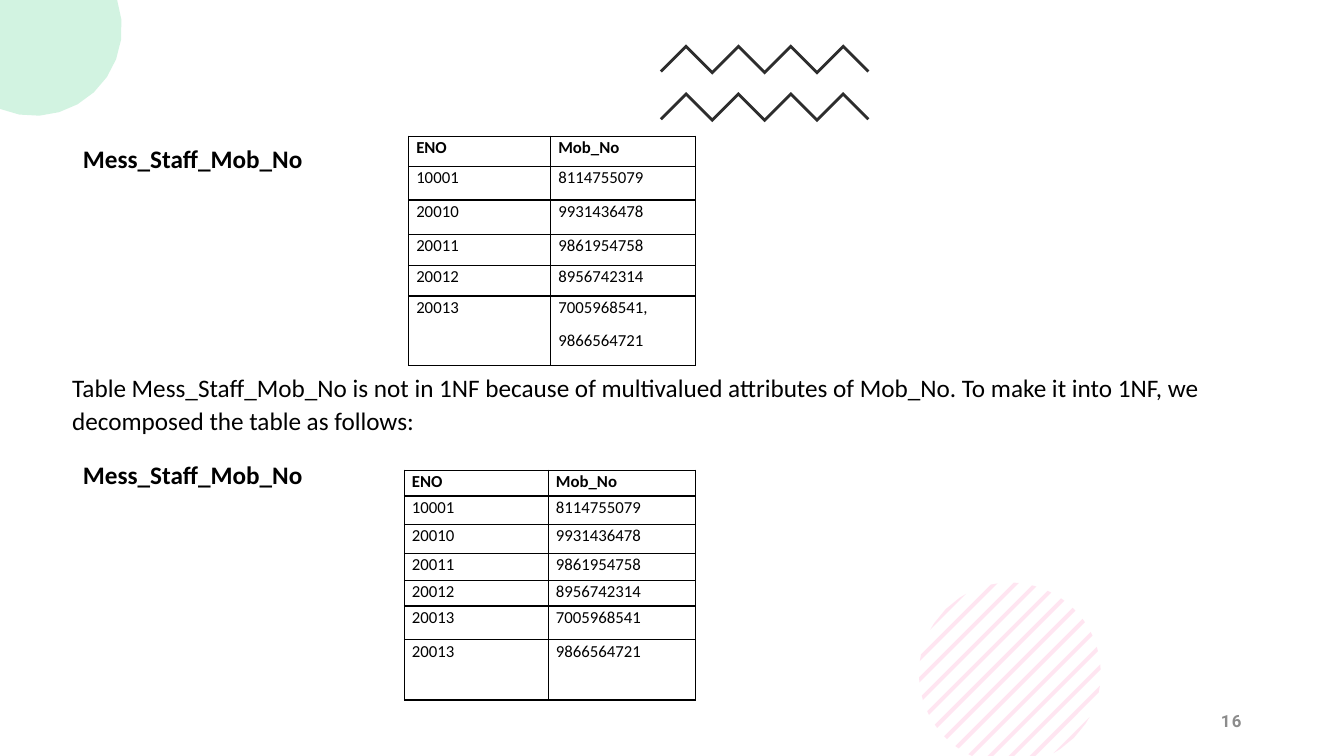
from dataclasses import dataclass
from math import acos, asin, cos, sin, sqrt

from lxml.etree import SubElement
from pptx import Presentation
from pptx.dml.color import RGBColor
from pptx.enum.text import MSO_ANCHOR, PP_ALIGN
from pptx.oxml.ns import qn
from pptx.slide import Slide
from pptx.util import Cm, Pt

BLACK = RGBColor(0x00, 0x00, 0x00)
GRAY = RGBColor(0x8C, 0x8C, 0x8C)
INK = RGBColor(0x2D, 0x2D, 0x2D)
PINK = RGBColor(0xFF, 0x80, 0xBD)
MINT = RGBColor(0x21, 0xC4, 0x6B)

WIDTH, HEIGHT = 33.87, 19.05
STAFF = "Mess_Staff_Mob_No"
REASON = (
    "Table Mess_Staff_Mob_No is not in 1NF because of multivalued attributes "
    "of Mob_No. To make it into 1NF, we decomposed the table as follows:"
)
FLOW = {"line_spacing": 1.07, "space_after": Pt(8)}
PLAIN = {"name": "Calibri", "size": Pt(18), "bold": False}
BOLD = PLAIN | {"bold": True}
CELL = PLAIN | {"size": Pt(12)}
PAGE = {"name": "Roboto", "size": Pt(12), "bold": True}

Point = tuple[float, float]


@dataclass
class Label:
    text: str
    box: tuple[float, float, float, float]
    font: dict
    flow: dict
    color: RGBColor = BLACK
    anchor: MSO_ANCHOR = MSO_ANCHOR.TOP
    track: int = 0


@dataclass
class Grid:
    left: float
    top: float
    cols: list[float]
    rows: list[float]
    data: list[tuple[str, str]]


HEAD = ("ENO", "Mob_No")
STABLE = [
    ("10001", "8114755079"),
    ("20010", "9931436478"),
    ("20011", "9861954758"),
    ("20012", "8956742314"),
]
LABELS = [
    Label("16", (23.92, 17.65, 7.62, 1.02), PAGE,
          {"alignment": PP_ALIGN.RIGHT}, GRAY, MSO_ANCHOR.MIDDLE, 100),
    Label(STAFF, (1.84, 3.43, 16.92, 1.04), BOLD, FLOW),
    Label(REASON, (1.57, 9.21, 30.73, 1.85), PLAIN, FLOW),
    Label(STAFF, (1.84, 11.4, 16.92, 1.04), BOLD, FLOW),
]
GRIDS = [
    Grid(10.3, 3.43, [3.58, 3.65], [0.76, 0.85, 0.86, 0.78, 0.78, 1.74],
         [HEAD, *STABLE, ("20013", "7005968541,\n9866564721")]),
    Grid(10.19, 11.85, [3.63, 3.71], [0.65, 0.71, 0.73, 0.68, 0.65, 0.85, 1.52],
         [HEAD, *STABLE, ("20013", "7005968541"), ("20013", "9866564721")]),
]


def apply(target: object, values: dict) -> None:
    for name, value in values.items():
        setattr(target, name, value)


def write(frame, text: str, font: dict, flow: dict, color: RGBColor) -> None:
    frame.text = text
    for para in frame.paragraphs:
        apply(para, flow)
        for run in para.runs:
            apply(run.font, font)
            run.font.color.rgb = color


def draw_label(slide: Slide, label: Label) -> None:
    frame = slide.shapes.add_textbox(*map(Cm, label.box)).text_frame
    apply(frame, {"word_wrap": True, "vertical_anchor": label.anchor})
    write(frame, label.text, label.font, label.flow, label.color)
    if label.track:
        run = frame.paragraphs[0].runs[0]
        run.font._element.set("spc", str(label.track))


def frame_cell(cell) -> None:
    props = cell._tc.get_or_add_tcPr()
    for side in ("a:lnL", "a:lnR", "a:lnT", "a:lnB"):
        edge = SubElement(props, qn(side), w=str(Pt(1)))
        fill = SubElement(edge, qn("a:solidFill"))
        SubElement(fill, qn("a:srgbClr"), val=str(BLACK))
    cell.fill.background()


def draw_grid(slide: Slide, grid: Grid) -> None:
    table = slide.shapes.add_table(
        len(grid.rows), len(grid.cols), Cm(grid.left), Cm(grid.top),
        Cm(sum(grid.cols)), Cm(sum(grid.rows))).table
    apply(table, {"first_row": False, "horz_banding": False})
    for col, width in zip(table.columns, grid.cols):
        col.width = Cm(width)
    for i, (height, line) in enumerate(zip(grid.rows, grid.data)):
        table.rows[i].height = Cm(height)
        for j, text in enumerate(line):
            cell = table.cell(i, j)
            apply(cell, {"margin_left": Cm(0.19), "margin_right": Cm(0.19),
                         "margin_top": 0, "margin_bottom": 0})
            write(cell.text_frame, text, CELL | {"bold": i == 0}, FLOW, BLACK)
            frame_cell(cell)


def draw_shape(slide: Slide, points: list[Point], color: RGBColor,
               alpha: int = 100) -> None:
    spots = [(Cm(x), Cm(y)) for x, y in points]
    form = slide.shapes.build_freeform(*spots[0], scale=1.0)
    form.add_line_segments(spots[1:], close=True)
    shape = form.convert_to_shape()
    shape.shadow.inherit = False
    shape.fill.solid()
    shape.fill.fore_color.rgb = color
    shape.line.fill.background()
    if alpha < 100:
        tint = shape._element.spPr.find(qn("a:solidFill"))[0]
        SubElement(tint, qn("a:alpha"), val=str(alpha * 1000))


def draw_stripes(slide: Slide) -> None:
    mid_x, mid_y, radius = 25.45, 16.97, 2.29
    pitch, half, last = 0.53, 0.07, 6
    reach = radius * sqrt(2)
    for k in range(-last, last + 1):
        low = max(k * pitch - half, -reach)
        high = min(k * pitch + half, reach)
        shifts = [low, high]
        if abs(k) == last:
            shifts.insert(1, (low + high) / 2)
        upper, lower = [], []
        for shift in shifts:
            span = sqrt(max(0, radius ** 2 - shift ** 2 / 2) / 2)
            base = min(mid_y + shift / 2 + span, HEIGHT)
            upper.append((mid_x + shift / 2 + span, mid_y + shift / 2 - span))
            lower.append((mid_x + mid_y + shift - base, base))
        draw_shape(slide, upper + lower[::-1], PINK, 20)


def draw_zigzag(slide: Slide, top: float) -> None:
    left, step, thick, count = 16.63, 0.66, 0.1, 9
    upper = [(left + i * step, top + step * (1 - i % 2)) for i in range(count)]
    lower = [(x, y + thick) for x, y in upper]
    for end, side in ((0, 1), (-1, -1)):
        x, y = upper[end]
        lower[end] = (x + side * thick / 2, y + thick / 2)
    draw_shape(slide, upper + lower[::-1], INK)


def draw_corner(slide: Slide) -> None:
    mid_x, mid_y, radius, steps = 0.86, 0.71, 2.21, 10
    start, stop = -asin(mid_y / radius), acos(-mid_x / radius)
    turns = [start + (stop - start) * i / steps for i in range(steps + 1)]
    arc = [(mid_x + radius * cos(t), mid_y + radius * sin(t)) for t in turns]
    draw_shape(slide, [(0, 0), *arc], MINT, 20)


def main() -> None:
    deck = Presentation()
    apply(deck, {"slide_width": Cm(WIDTH), "slide_height": Cm(HEIGHT)})
    slide = deck.slides.add_slide(deck.slide_layouts[6])
    draw_stripes(slide)
    for top in (1.12, 2.32):
        draw_zigzag(slide, top)
    draw_corner(slide)
    for label in LABELS:
        draw_label(slide, label)
    for grid in GRIDS:
        draw_grid(slide, grid)
    deck.save("out.pptx")


if __name__ == "__main__":
    main()
